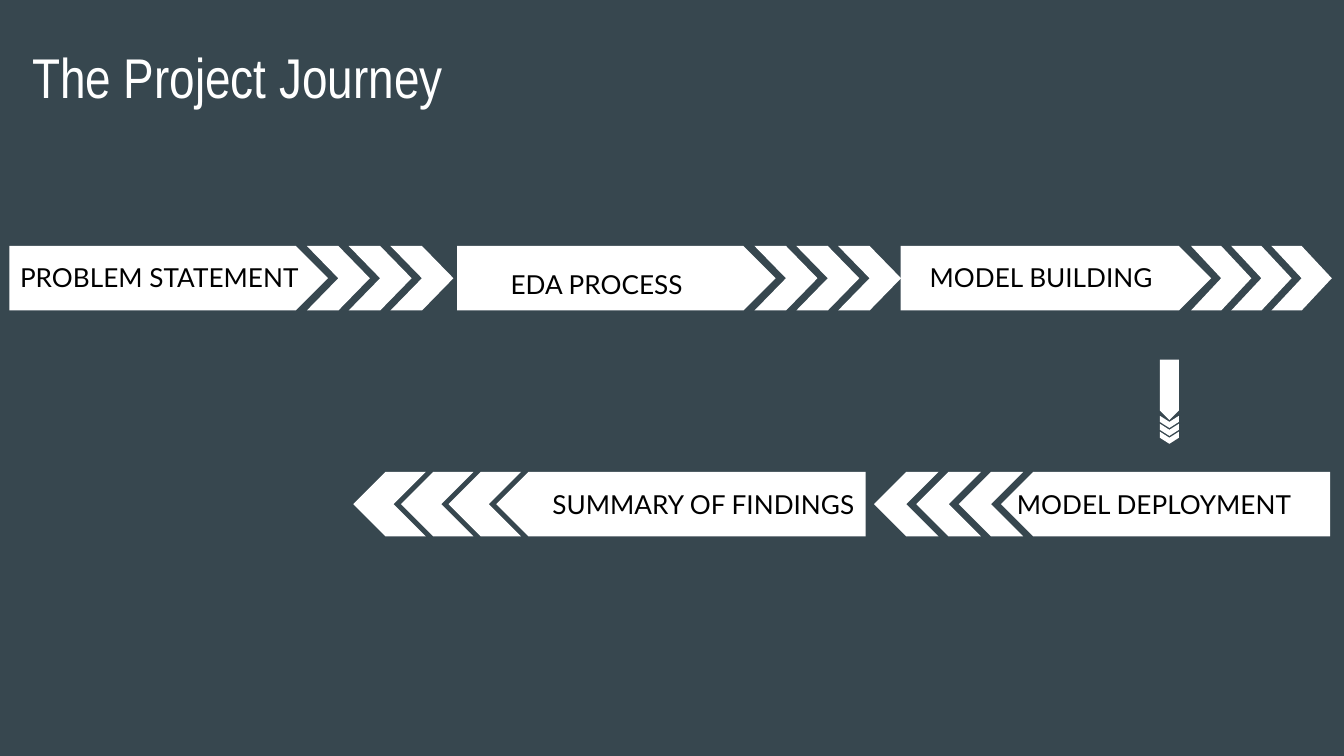
from dataclasses import dataclass

import pptx
import pptx.dml.color
import pptx.enum.shapes
import pptx.enum.text
import pptx.util

Cm = pptx.util.Cm
Kind = pptx.enum.shapes.MSO_SHAPE
WHITE, BLACK, SLATE = "FFFFFF", "000000", "37474F"
ROW_1, ROW_2 = 5.26, 9.53  # centre lines of the two rows
TALL = 1.22


@dataclass
class Arrow:
    """A bar and three chevrons; (x, y) is the middle of its tail, in cm."""
    x: float
    y: float
    body: float
    chev: float
    step: float
    way: str = "right"
    thick: float = TALL


@dataclass
class Label:
    text: str
    x: float
    y: float
    w: float
    h: float = 1.12
    size: int = 14
    font: str = "Lato"
    color: str = BLACK
    grow: bool = True


STAGES = [
    (Arrow(0.18, ROW_1, 6.02, 1.19, 0.79),
     Label("PROBLEM STATEMENT", 0.13, 4.7, 6.58)),
    (Arrow(8.64, ROW_1, 6.02, 1.19, 0.79),
     Label("EDA PROCESS", 9.4, 4.82, 4.47)),
    (Arrow(17.02, ROW_1, 5.87, 1.14, 0.76),
     Label("MODEL BUILDING", 17.32, 4.7, 5.79)),
    (Arrow(25.14, ROW_2, 6.22, 1.22, 0.8, "left"),
     Label("MODEL DEPLOYMENT", 18.97, 8.98, 6.17)),
    (Arrow(16.36, ROW_2, 6.98, 1.37, 0.9, "left"),
     Label("SUMMARY OF FINDINGS", 10.19, 8.98, 6.58)),
]
TURN = Arrow(22.1, 6.8, 1.14, 0.23, 0.15, "down", 0.36)
TITLE = Label("The Project Journey", 0.36, 0.56, 8.99, 1.6, 30,
              "Arial Narrow", WHITE, False)


def paint(item, color: str) -> None:
    """Give a fill or a font a solid colour."""
    item.solid()
    item.fore_color.rgb = pptx.dml.color.RGBColor.from_string(color)


def add_part(group, arrow: Arrow, kind, start: float, size: float) -> None:
    """Place one piece, from start to start + size along the arrow."""
    mid = start + size / 2
    dx, dy = {"right": (mid, 0), "left": (-mid, 0), "down": (0, mid)}[arrow.way]
    part = group.shapes.add_shape(
        kind, Cm(arrow.x + dx - size / 2), Cm(arrow.y + dy - arrow.thick / 2),
        Cm(size), Cm(arrow.thick))
    part.shadow.inherit = False
    part.adjustments[0] = 0.5
    paint(part.fill, WHITE)
    part.line.fill.background()
    if arrow.way == "down":
        part.rotation = 90
    elif arrow.way == "left":
        part._element.spPr.xfrm.set("flipH", "1")


def add_arrow(slide, arrow: Arrow) -> None:
    group = slide.shapes.add_group_shape()
    add_part(group, arrow, Kind.PENTAGON, 0, arrow.body)
    first = arrow.body - arrow.chev + arrow.step
    for i in range(3):
        add_part(group, arrow, Kind.CHEVRON, first + i * arrow.step, arrow.chev)


def add_label(slide, label: Label) -> None:
    box = slide.shapes.add_textbox(
        Cm(label.x), Cm(label.y), Cm(label.w), Cm(label.h))
    frame = box.text_frame
    frame.word_wrap = True
    frame.margin_left = frame.margin_right = Cm(0.25)
    frame.margin_top = frame.margin_bottom = Cm(0.25)
    if label.grow:
        frame.auto_size = pptx.enum.text.MSO_AUTO_SIZE.SHAPE_TO_FIT_TEXT
    run = frame.paragraphs[0].add_run()
    run.text = label.text
    run.font.name = label.font
    run.font.size = pptx.util.Pt(label.size)
    paint(run.font.fill, label.color)


def main() -> None:
    deck = pptx.Presentation()
    deck.slide_width, deck.slide_height = Cm(25.4), Cm(14.29)
    slide = deck.slides.add_slide(deck.slide_layouts[6])
    paint(slide.background.fill, SLATE)
    add_label(slide, TITLE)
    for arrow, label in STAGES:
        add_arrow(slide, arrow)
        add_label(slide, label)
    add_arrow(slide, TURN)
    deck.save("out.pptx")


if __name__ == "__main__":
    main()
